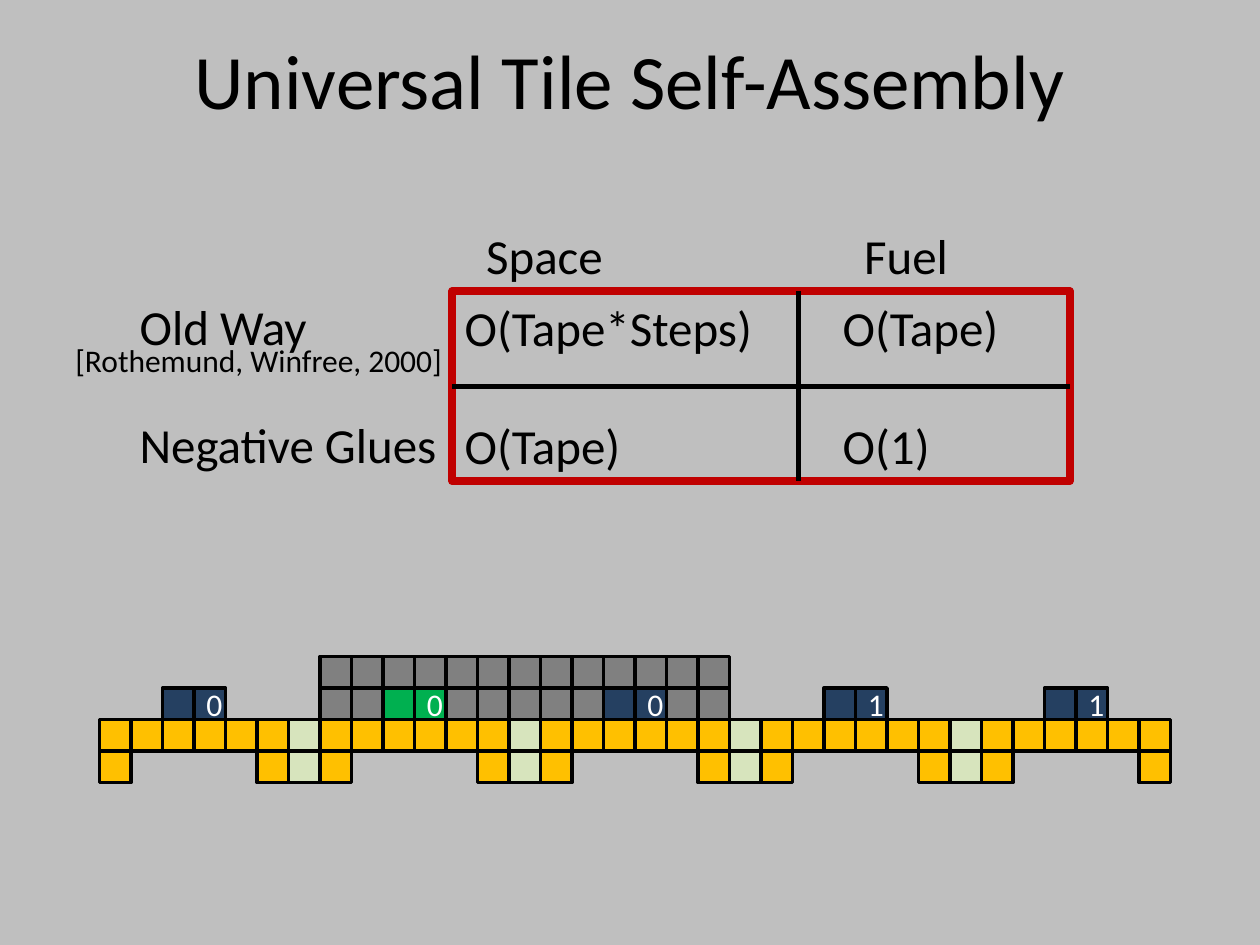
from collections import namedtuple
from dataclasses import dataclass

from lxml.etree import SubElement
from pptx import Presentation
from pptx.dml.color import RGBColor
from pptx.enum.shapes import MSO_CONNECTOR, MSO_SHAPE
from pptx.enum.text import MSO_ANCHOR, PP_ALIGN
from pptx.oxml.ns import qn
from pptx.util import Inches, Pt

Box = namedtuple("Box", "left top width height")


@dataclass(frozen=True)
class Theme:
    font: str = "Calibri"
    background: str = "BFBFBF"
    ink: str = "000000"
    frame: str = "C00000"
    digit: str = "FFFFFF"
    title_size: int = 44
    body_size: int = 28
    small_size: int = 18
    row_gap: int = 34
    frame_width: float = 4.5
    rule_width: int = 3
    tile_width: int = 2


THEME = Theme()

# Tile map: one letter per tile, a dot for an empty cell
TILE_COLOURS = {"Y": "FFC000", "L": "D7E4BD", "B": "254061",
                "X": "808080", "G": "00B050"}
TILE_ROWS = [
    "." * 7 + "X" * 13,
    "..BB..." + "XXGGXXX" + "XXBBXX." + "..BB..." + "..BB..",
    "YYYYYYL" * 4 + "YYYYYY",
    "Y....YL" * 4 + "Y....Y",
]
TILE_COLUMNS = 34
TILE_PERIOD = 7
DATA_ROW = 1
DIGIT_OFFSET = 3
TAPE_DIGITS = "00011"


def rgb(colour):
    return RGBColor.from_string(colour)


def inches(box):
    return [Inches(length) for length in box]


def write(shape, text, size, colour=THEME.ink, align=PP_ALIGN.LEFT,
          anchor=MSO_ANCHOR.TOP, wrap=True, tabs=()):
    frame = shape.text_frame
    frame.text = text
    frame.word_wrap = wrap
    frame.vertical_anchor = anchor
    for index, paragraph in enumerate(frame.paragraphs):
        paragraph.alignment = align
        if index:
            paragraph.space_before = Pt(THEME.row_gap)
        if tabs:
            stops = SubElement(paragraph._p.get_or_add_pPr(), qn("a:tabLst"))
            for position in tabs:
                SubElement(stops, qn("a:tab"), pos=str(Inches(position)), algn="l")
        for run in paragraph.runs:
            run.font.name = THEME.font
            run.font.size = Pt(size)
            run.font.color.rgb = rgb(colour)


def add_text(slide, box, text, size, **style):
    write(slide.shapes.add_textbox(*inches(box)), text, size, **style)


def add_rectangle(shapes, box, line_colour, line_width, fill=None):
    rectangle = shapes.add_shape(MSO_SHAPE.RECTANGLE, *inches(box))
    rectangle.shadow.inherit = False
    if fill:
        rectangle.fill.solid()
        rectangle.fill.fore_color.rgb = rgb(fill)
    else:
        rectangle.fill.background()
    rectangle.line.color.rgb = rgb(line_colour)
    rectangle.line.width = Pt(line_width)
    return rectangle


def add_rule(slide, start, end):
    rule = slide.shapes.add_connector(
        MSO_CONNECTOR.STRAIGHT, *inches(start), *inches(end))
    rule.line.color.rgb = rgb(THEME.ink)
    rule.line.width = Pt(THEME.rule_width)
    SubElement(rule._element.spPr, qn("a:effectLst"))
    return rule


def add_title(slide, box):
    add_text(slide, box, "Universal Tile Self-Assembly", THEME.title_size,
             align=PP_ALIGN.CENTER, anchor=MSO_ANCHOR.MIDDLE)


def add_comparison(slide, box):
    """Framed costs, with headings above the box and row labels to its left."""
    right, bottom = box.left + box.width, box.top + box.height
    column_split = box.left + 2.75
    middle = box.top + box.height / 2

    costs = add_rectangle(slide.shapes, box, THEME.frame, THEME.frame_width)
    write(costs, "O(Tape*Steps)\tO(Tape)\nO(Tape)\tO(1)", THEME.body_size, tabs=[3])

    # Headings and row labels
    header_left = box.left - 2.83
    add_text(slide, Box(header_left, box.top - 0.57, right - header_left, 0.57),
             "\tSpace\tFuel", THEME.body_size, tabs=[3, 6])
    add_text(slide, Box(box.left - 2.58, box.top - 0.01, 2.58, box.height),
             "Old Way\nNegative Glues", THEME.body_size, wrap=False)
    add_text(slide, Box(box.left - 3.09, box.top + 0.35, 3.23, 0.4),
             "[Rothemund, Winfree, 2000]", THEME.small_size)

    # Dividers
    add_rule(slide, (column_split, box.top), (column_split, bottom))
    row_divider = add_rule(slide, (right, middle), (box.left, middle))
    row_divider.begin_connect(costs, 3)
    row_divider.end_connect(costs, 1)


def add_tile_assembly(slide, box):
    """Tape of square tiles, with a digit on the second tile of each data pair."""
    side = box.width / TILE_COLUMNS
    assembly = slide.shapes.add_group_shape()
    for row, letters in enumerate(TILE_ROWS):
        for column, letter in enumerate(letters):
            if letter == ".":
                continue
            place = Box(box.left + column * side, box.top + row * side, side, side)
            tile = add_rectangle(assembly.shapes, place, THEME.ink,
                                 THEME.tile_width, TILE_COLOURS[letter])
            period, offset = divmod(column, TILE_PERIOD)
            if row == DATA_ROW and offset == DIGIT_OFFSET:
                write(tile, TAPE_DIGITS[period], THEME.small_size, THEME.digit,
                      PP_ALIGN.CENTER, MSO_ANCHOR.MIDDLE)


def main():
    presentation = Presentation()
    presentation.slide_width = Inches(10)
    presentation.slide_height = Inches(7.5)
    slide = presentation.slides.add_slide(presentation.slide_layouts[6])
    slide.background.fill.solid()
    slide.background.fill.fore_color.rgb = rgb(THEME.background)

    add_title(slide, Box(0.5, 0, 9, 1.25))
    add_comparison(slide, Box(3.59, 2.31, 4.9, 1.51))
    add_tile_assembly(slide, Box(0.79, 5.21, 8.5, 1))
    presentation.save("out.pptx")


if __name__ == "__main__":
    main()
